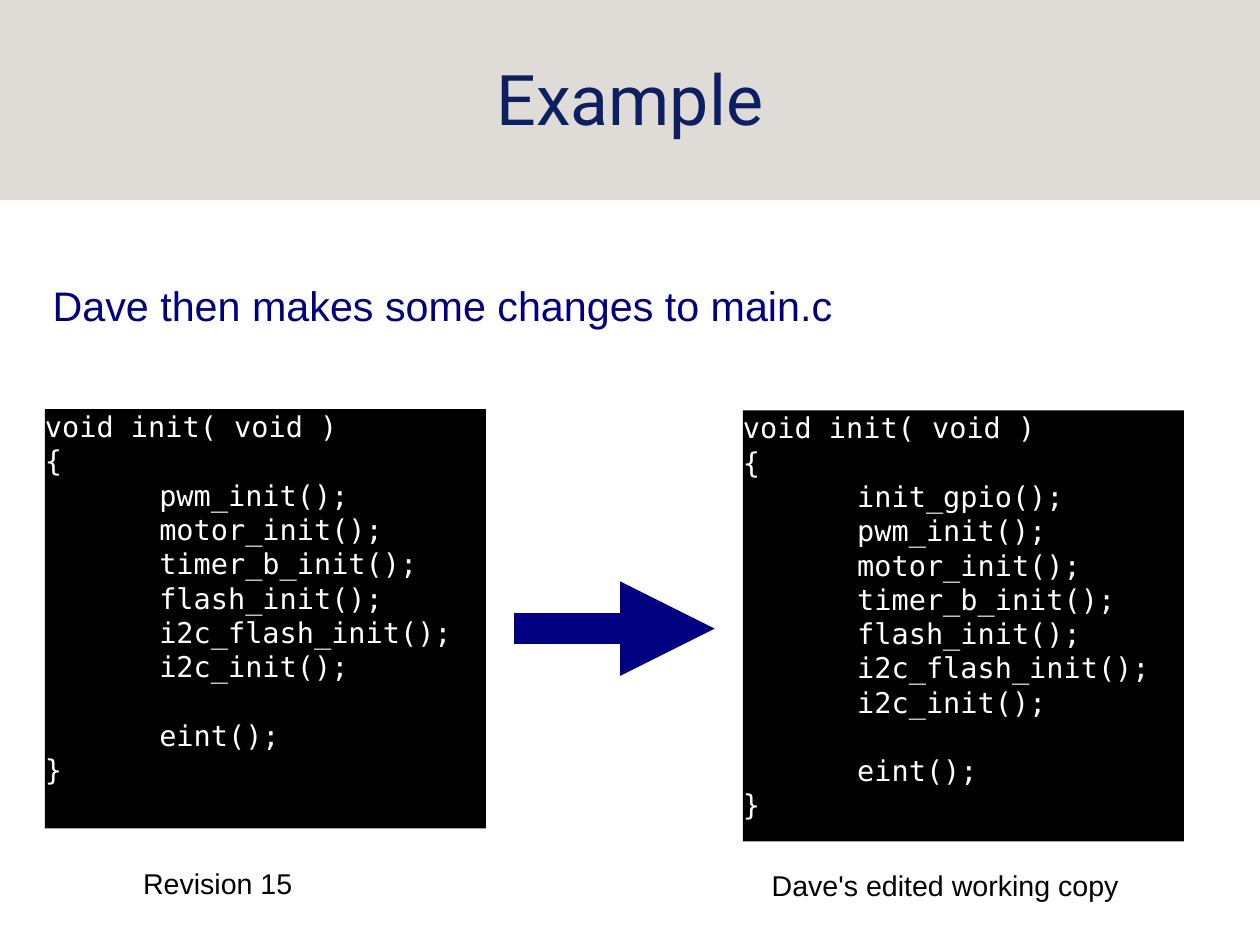
from lxml import etree
from pptx import Presentation
from pptx.dml.color import RGBColor
from pptx.enum.shapes import MSO_CONNECTOR, MSO_SHAPE
from pptx.enum.text import MSO_ANCHOR, PP_ALIGN
from pptx.oxml.ns import qn
from pptx.util import Cm, Pt

RECT = MSO_SHAPE.RECTANGLE
LINE = MSO_CONNECTOR.STRAIGHT
TOP, MIDDLE = MSO_ANCHOR.TOP, MSO_ANCHOR.MIDDLE
LEFT, CENTER = PP_ALIGN.LEFT, PP_ALIGN.CENTER

COLORS = {
    "band": "DFDBD7",
    "title": "0D1F61",
    "navy": "000080",
    "black": "000000",
    "white": "FFFFFF",
}

WIDE, HIGH = 28, 21
CALLS = ["pwm_init();", "motor_init();", "timer_b_init();",
         "flash_init();", "i2c_flash_init();", "i2c_init();"]


def color(name):
    return RGBColor.from_string(COLORS[name])


def add_rect(slide, box, fill):
    shape = slide.shapes.add_shape(RECT, *map(Cm, box))
    shape.shadow.inherit = False
    shape.fill.solid()
    shape.fill.fore_color.rgb = color(fill)
    shape.line.fill.background()
    return shape


def set_text(shape, text, size, font, ink, align=LEFT, anchor=TOP, wrap=True):
    frame = shape.text_frame
    frame.text = text
    frame.word_wrap = wrap
    frame.vertical_anchor = anchor
    frame.margin_left = frame.margin_right = 0
    frame.margin_top = frame.margin_bottom = 0
    for line in frame.paragraphs:
        line.alignment = align
        for run in line.runs:
            run.font.size = Pt(size)
            run.font.name = font
            run.font.color.rgb = color(ink)
    return frame


def add_label(slide, box, *args, **opts):
    set_text(slide.shapes.add_textbox(*map(Cm, box)), *args, **opts)


def add_header(slide, box, text):
    x, y, w, h = box
    add_rect(slide, box, "band")
    add_label(slide, (x + 1.4, y, w - 2.8, h - 0.11), text,
              44, "Roboto", "title", align=CENTER, anchor=MIDDLE)


def add_code(slide, box, calls):
    lines = ["void init( void )", "{", *calls, "eint();", "}"]
    frame = set_text(add_rect(slide, box, "black"), "\n".join(lines),
                     18, "DejaVu Sans Mono", "white")
    body = frame.paragraphs[2:-1]
    for line in body:
        props = line._p.get_or_add_pPr()
        props.set("marL", str(Cm(2.54)))
        props.set("indent", "0")
    body[-1].space_before = Pt(21.5)


def add_arrow(slide, x, y, length):
    arrow = slide.shapes.add_connector(LINE, Cm(x), Cm(y), Cm(x + length), Cm(y))
    arrow.line.color.rgb = color("navy")
    arrow.line.width = Pt(19.84)
    etree.SubElement(arrow.line._get_or_add_ln(), qn("a:tailEnd"), type="triangle")
    etree.SubElement(arrow._element.spPr, qn("a:effectLst"))


def add_panel(slide, box, calls, label, shift):
    x, y, w, h = box
    add_code(slide, box, calls)
    add_label(slide, (x + shift, y + 10.16, 8.89, 0.79), label,
              18, "Arial", "black")


def main():
    deck = Presentation()
    deck.slide_width, deck.slide_height = Cm(WIDE), Cm(HIGH)
    slide = deck.slides.add_slide(deck.slide_layouts[6])
    add_header(slide, (0, 0, WIDE, 4.45), "Example")
    add_label(slide, (1.17, 6.22, 17.4, 1.14),
              "Dave then makes some changes to main.c",
              26, "Arial", "navy", wrap=False)
    add_panel(slide, (1, 9.09, 9.8, 9.32), CALLS, "Revision 15", 2.18)
    add_panel(slide, (16.51, 9.12, 9.8, 9.58), ["init_gpio();", *CALLS],
              "Dave's edited working copy", 0.64)
    add_arrow(slide, 11.43, 13.97, 4.45)
    deck.save("out.pptx")


if __name__ == "__main__":
    main()
